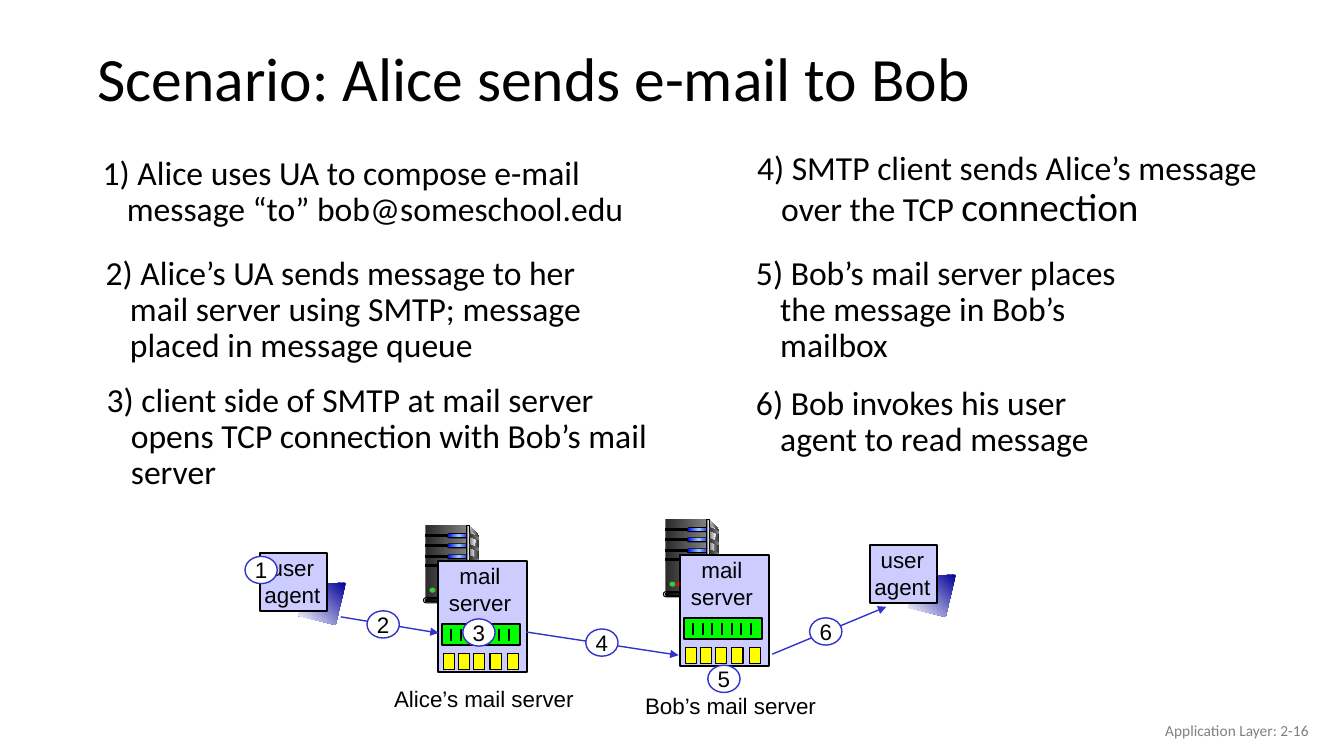
import pptx
import pptx.dml.color
import pptx.enum.shapes
import pptx.enum.text
import pptx.oxml
import pptx.oxml.ns
import pptx.util

PX = 9144
ALIGN = pptx.enum.text.PP_ALIGN
ANCHOR = pptx.enum.text.MSO_ANCHOR
KIND = pptx.enum.shapes.MSO_SHAPE
BLACK, LILAC, BLUE = "000000", "CCCCFF", "3333CC"
STEEL = ("292929", "808080")
GLOW = ("0000FF", "99CCFF", "0000FF")


def colour(code):
    return pptx.dml.color.RGBColor.from_string(code)


def child(parent, tag, **attributes):
    element = parent.makeelement(pptx.oxml.ns.qn(tag), attributes)
    parent.append(element)
    return element


class Sketch:
    def __init__(self, page):
        self.page = page
        self.target = page.shapes

    def group(self):
        self.target = self.page.shapes.add_group_shape().shapes

    def ungroup(self):
        self.target = self.page.shapes

    def paint(self, shape, fill, line=None, weight=0.75, angle=0):
        shape.shadow.inherit = False
        if isinstance(fill, str):
            shape.fill.solid()
            shape.fill.fore_color.rgb = colour(fill)
        else:
            shape.fill.gradient()
            shape.fill.gradient_angle = (360 - angle) % 360
            stops = next(shape.element.iter(pptx.oxml.ns.qn("a:gsLst")))
            for stop in list(stops):
                stops.remove(stop)
            for index, code in enumerate(fill):
                place = 100000 * index // (len(fill) - 1)
                stop = child(stops, "a:gs", pos=str(place))
                child(stop, "a:srgbClr", val=code)
        if line:
            shape.line.color.rgb = colour(line)
            shape.line.width = pptx.util.Pt(weight)
        else:
            shape.line.fill.background()

    def shape(self, kind, x, y, w, h, fill, line=None, weight=0.75):
        shape = self.target.add_shape(kind, x * PX, y * PX, w * PX, h * PX)
        if kind == KIND.ROUNDED_RECTANGLE:
            shape.adjustments[0] = 0.5
        self.paint(shape, fill, line, weight)
        return shape

    def box(self, x, y, w, h, fill, line=None, weight=0.75):
        return self.shape(KIND.RECTANGLE, x, y, w, h, fill, line, weight)

    def pill(self, x, y, w, h, fill, line=None):
        return self.shape(KIND.ROUNDED_RECTANGLE, x, y, w, h, fill, line)

    def outline(self, x, y, points, fill, angle=0):
        points = [(x + dx, y + dy) for dx, dy in points]
        builder = self.target.build_freeform(*points[0], scale=PX)
        builder.add_line_segments(points[1:], close=True)
        self.paint(builder.convert_to_shape(), fill, angle=angle)

    def line(self, x1, y1, x2, y2, code=BLACK, weight=1.5, arrow=False):
        line = self.target.add_connector(
            pptx.enum.shapes.MSO_CONNECTOR.STRAIGHT, x1 * PX, y1 * PX, x2 * PX, y2 * PX)
        line.line.color.rgb = colour(code)
        line.line.width = pptx.util.Pt(weight)
        if arrow:
            outline = line.element.spPr.find(pptx.oxml.ns.qn("a:ln"))
            child(outline, "a:tailEnd", type="triangle")
        child(line.element.spPr, "a:effectLst")

    def fill_text(self, frame, lines, font, code=BLACK, align=ALIGN.LEFT,
                  anchor=ANCHOR.TOP, wrap=True, spacing=None, hanging=False):
        frame.word_wrap = wrap
        frame.vertical_anchor = anchor
        for index, spans in enumerate(lines):
            para = frame.add_paragraph() if index else frame.paragraphs[0]
            para.alignment = align
            if spacing:
                para.line_spacing = spacing
            if hanging:
                properties = para._p.get_or_add_pPr()
                properties.set("marL", str(39 * PX))
                properties.set("indent", str(-24 * PX))
            for words, size in spans:
                span = para.add_run()
                span.text = words
                span.font.name = font
                span.font.size = pptx.util.Pt(size)
                span.font.color.rgb = colour(code)

    def text(self, x, y, w, h, lines, font="Calibri", **style):
        box = self.target.add_textbox(x * PX, y * PX, w * PX, h * PX)
        self.fill_text(box.text_frame, lines, font, **style)

    def label(self, x, y, w, h, *lines, align=ALIGN.CENTER):
        self.text(x, y, w, h, [[(words, 16)] for words in lines], "Arial",
                  align=align, wrap=False)

    def step(self, number, x, y):
        badge = self.shape(KIND.OVAL, x, y, 32, 27, "FFFFFF", BLUE, 1)
        self.fill_text(badge.text_frame, [[(str(number), 16)]], "Arial",
                       align=ALIGN.CENTER, anchor=ANCHOR.MIDDLE, wrap=False)

    def user_agent(self, x, y):
        self.group()
        self.outline(x, y, [(85, 29), (45, 31), (38, 62), (75, 71)],
                     ("000099", "FFFFFF"), angle=135)
        self.box(x, y, 66, 57, LILAC, BLACK, 1.5)
        self.label(x - 6, y - 4, 76, 64, "user", "agent")
        self.ungroup()

    def tower(self, x, y):
        self.group()
        self.outline(x, y, [(46, 1), (55, 10), (55, 70), (44, 73)], ("DDDDDD", "333333"))
        self.box(x + 2, y, 41, 72, STEEL)
        self.outline(x, y, [(46, 5), (52, 11), (48, 41), (46, 71)], ("808080", "F8F8F8"))
        for row in (9, 19, 30, 39):
            self.box(x + 2, y + row, 23, 2, BLACK, BLACK)
        for row in (8, 18, 29):
            self.pill(x + 23, y + row, 23, 5, BLACK)
            self.pill(x + 24, y + row + 1, 22, 3, GLOW)
        self.box(x + 43, y, 3, 72, ("333333", "DDDDDD", "333333"), BLACK)
        for row in (8, 19, 30):
            self.outline(x, y + row, [(45, 0), (55, 4), (55, 7), (45, 3)], STEEL)
        self.pill(x, y + 72, 47, 5, "DDDDDD", BLACK)
        self.pill(x + 2, y + 73, 42, 3, (BLACK, "808080"), BLACK)
        for column, code in ((6, "33CC33"), (13, "FF0000")):
            self.shape(KIND.OVAL, x + column, y + 62, 6, 5, code)
        self.ungroup()

    def mail_server(self, x, y):
        self.group()
        self.box(x, y, 89, 110, LILAC, BLACK, 1.5)
        self.label(x + 1, y - 4, 82, 64, "mail", "server")
        self.box(x + 4, y + 62, 78, 21, "00FF00", BLACK, 1.5)
        for index in range(7):
            tick = x + 13 + round(9.7 * index)
            self.line(tick, y + 67, tick, y + 79)
        for column in (6, 21, 36, 52, 69):
            self.box(x + column, y + 91, 11, 16, "FFFF00", BLACK)
        self.ungroup()


def main():
    deck = pptx.Presentation()
    deck.slide_width, deck.slide_height = 1333 * PX, 750 * PX
    sketch = Sketch(deck.slides.add_slide(deck.slide_layouts[6]))

    sketch.text(87, 32, 1150, 98, [[("Scenario: Alice sends e-mail to Bob", 44)]],
                anchor=ANCHOR.MIDDLE, spacing=0.9)
    steps = [
        (77, 150, 555, 126, [("1) Alice uses UA to compose e-mail message “to” bob@someschool.edu", 24)]),
        (80, 249, 555, 121, [("2) Alice’s UA sends message to her mail server using SMTP; "
                              "message placed in message queue", 24)]),
        (81, 375, 596, 119, [("3) client side of SMTP at mail server opens TCP connection "
                              "with Bob’s mail server", 24)]),
        (726, 145, 555, 103, [("4) SMTP client sends Alice’s message over the TCP ", 24),
                              ("connection", 28)]),
        (725, 249, 417, 91, [("5) Bob’s mail server places the message in Bob’s mailbox", 24)]),
        (725, 378, 417, 91, [("6) Bob invokes his user agent to read message", 24)]),
    ]
    for x, y, w, h, spans in steps:
        sketch.text(x, y, w, h, [spans], spacing=0.9, hanging=True)

    for x, y in ((258, 549), (863, 541)):
        sketch.user_agent(x, y)
    for x, y in ((420, 521), (658, 515)):
        sketch.tower(x, y)
    for x, y in ((434, 557), (674, 551)):
        sketch.mail_server(x, y)
    for ends in ((338, 612, 435, 628), (522, 627, 673, 650), (766, 649, 879, 602)):
        sketch.line(*ends, code=BLUE, weight=1, arrow=True)
    badges = ((243, 552), (364, 606), (459, 614), (581, 624), (702, 660), (803, 613))
    for number, (x, y) in enumerate(badges, 1):
        sketch.step(number, x, y)
    sketch.label(381, 675, 199, 37, "Alice’s mail server", align=ALIGN.LEFT)
    sketch.label(630, 682, 190, 37, "Bob’s mail server", align=ALIGN.LEFT)
    sketch.text(1008, 705, 300, 40, [[("Application Layer: 2-16", 11)]],
                code="808080", align=ALIGN.RIGHT, anchor=ANCHOR.MIDDLE)
    deck.save("out.pptx")


if __name__ == "__main__":
    main()
